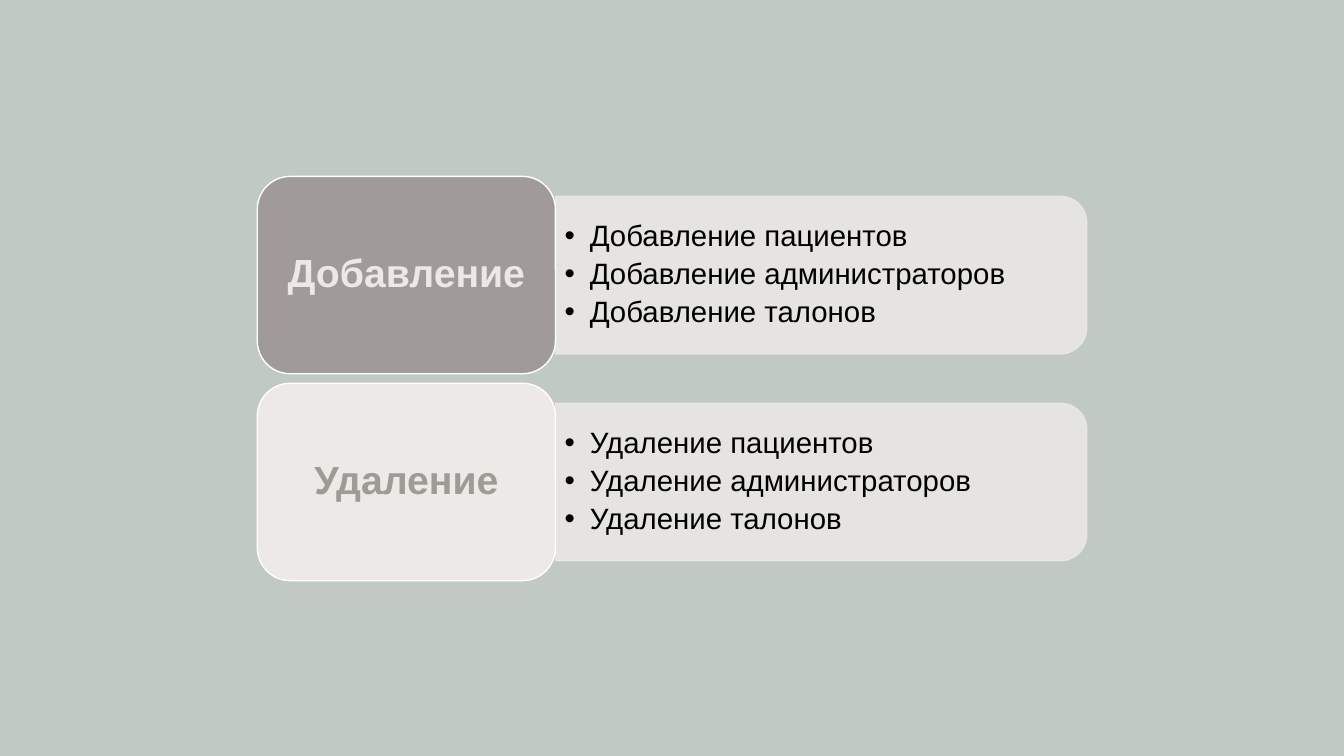
from dataclasses import dataclass

from lxml.etree import SubElement
from pptx import Presentation
from pptx.dml.color import RGBColor as RGB
from pptx.enum.shapes import MSO_SHAPE as Kind
from pptx.enum.text import MSO_ANCHOR as Anchor, PP_ALIGN as Align
from pptx.oxml.ns import qn
from pptx.util import Pt


@dataclass(frozen=True)
class Theme:
    back: str = "C0C9C2"
    panel: str = "EBE8E5"
    edge: str = "FFFFFF"
    ink: str = "000000"
    font: str = "Arial"
    head: float = 28
    body: float = 21


def paint(shape, fill, edge, alpha=100):
    shape.shadow.inherit = False
    shape.line.width = Pt(1)
    for part, tint in ((shape.fill, fill), (shape.line.fill, edge)):
        part.solid()
        part.fore_color.rgb = RGB.from_string(tint)
    if alpha < 100:
        for tint in shape._element.spPr.iter(qn("a:srgbClr")):
            SubElement(tint, qn("a:alpha"), val=str(alpha * 1000))


def write(shape, lines, size, tint, bold, pad, para):
    """Fill the shape with one paragraph per line; pad is (side, top) in points."""
    frame = shape.text_frame
    side, top = map(Pt, pad)
    look = dict(word_wrap=True, vertical_anchor=Anchor.MIDDLE, margin_left=side,
                margin_right=side, margin_top=top, margin_bottom=top)
    for key, val in look.items():
        setattr(frame, key, val)
    frame.text = "\n".join(lines)
    for line in frame.paragraphs:
        for key, val in para.items():
            setattr(line, key, val)
        font = line.runs[0].font
        for key, val in dict(name=theme.font, size=Pt(size), bold=bold).items():
            setattr(font, key, val)
        font.color.rgb = RGB.from_string(tint)


theme = Theme()
deck = Presentation()
deck.slide_width, deck.slide_height = Pt(960), Pt(540)
slide = deck.slides.add_slide(deck.slide_layouts[6])
slide.background.fill.solid()
slide.background.fill.fore_color.rgb = RGB.from_string(theme.back)

left, top, step = 183.8, 126, 147.8
card_w, card_h = 213, 141
panel_w, panel_h = 379.5, 112.5
list_w, list_h = 373.7, 101.5
seam = left + card_w

rows = [
    ("Добавление", "A09B98", "EBE8E5"),
    ("Удаление", "ECE9E7", "9E9A96"),
]
items = ["пациентов", "администраторов", "талонов"]

for num, (name, fill, tint) in enumerate(rows):
    y = top + num * step
    mid = y + card_h / 2

    # The panel is a tall shape turned a quarter so its round end faces right
    panel = slide.shapes.add_shape(
        Kind.ROUND_2_SAME_RECTANGLE, Pt(seam + (panel_w - panel_h) / 2),
        Pt(mid - panel_w / 2), Pt(panel_h), Pt(panel_w))
    panel.rotation = 90
    paint(panel, theme.panel, theme.panel, 90)

    box = slide.shapes.add_textbox(
        Pt(seam), Pt(mid - list_h / 2), Pt(list_w), Pt(list_h))
    write(box, [f"{name} {item}" for item in items], theme.body, theme.ink,
          False, (6.5, 3), dict(level=1, line_spacing=0.9, space_after=Pt(4.3)))
    for line in box.text_frame.paragraphs:
        props = line._p.get_or_add_pPr()
        props.set("marL", str(Pt(18)))
        props.set("indent", str(Pt(-18)))
        SubElement(props, qn("a:buFont"), typeface=theme.font)
        SubElement(props, qn("a:buChar"), char="•")

    card = slide.shapes.add_shape(
        Kind.ROUNDED_RECTANGLE, Pt(left), Pt(y), Pt(card_w), Pt(card_h))
    paint(card, fill, theme.edge)
    write(card, [name], theme.head, tint, True, (8.5, 4),
          dict(alignment=Align.CENTER, line_spacing=0.9))

deck.save("out.pptx")
